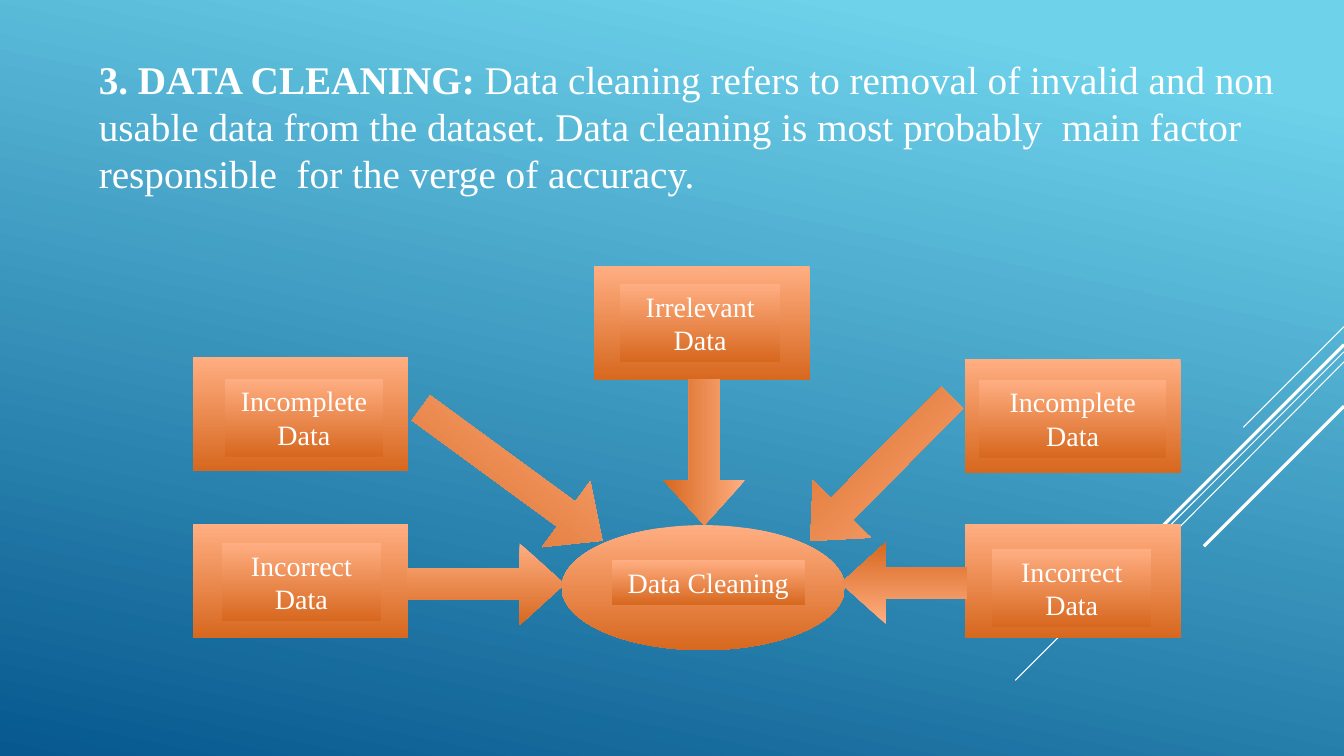
from lxml.etree import SubElement
from pptx import Presentation
from pptx.dml.color import RGBColor
from pptx.enum.shapes import MSO_CONNECTOR, MSO_SHAPE
from pptx.enum.text import MSO_ANCHOR, MSO_AUTO_SIZE, PP_ALIGN
from pptx.oxml.ns import qn
from pptx.util import Inches, Pt


def paint_gradient(fill, stops, angle):
    fill.gradient()
    fill.gradient_angle = 360 - angle
    for stop, (position, color) in zip(fill.gradient_stops, stops):
        stop.position = position
        stop.color.rgb = RGBColor.from_string(color)


def add_orange_shape(kind, left, top, width, height):
    shape = slide.shapes.add_shape(
        kind, Inches(left), Inches(top), Inches(width), Inches(height))
    shape.shadow.inherit = False
    shape.line.fill.background()
    paint_gradient(shape.fill, [(0, "FFAE82"), (1, "D7681F")], 90)
    return shape


FONT = "Times New Roman"
WHITE = RGBColor.from_string("FFFFFF")

presentation = Presentation()
presentation.slide_width = Inches(13.33)
presentation.slide_height = Inches(7.5)
slide = presentation.slides.add_slide(presentation.slide_layouts[5])
paint_gradient(slide.background.fill, [(0.1, "6ED2EB"), (1, "06588E")], 102)

diagonals = [
    (3.24, 12.33, 4.24, 0.75),
    (3.49, 10.07, 6.75, 0.75),
    (3.59, 11.26, 5.67, 0.75),
    (3.42, 11.42, 5.33, 2.25),
    (4.03, 11.94, 5.42, 2.25),
]
for start_y, end_x, end_y, weight in diagonals:
    line = slide.shapes.add_connector(
        MSO_CONNECTOR.STRAIGHT,
        Inches(13.33), Inches(start_y), Inches(end_x), Inches(end_y))
    line.line.color.rgb = WHITE
    line.line.width = Pt(weight)
    SubElement(line._element.spPr, qn("a:effectLst"))

title = slide.shapes.title
title.left, title.top = Inches(0.88), Inches(0.53)
title.width, title.height = Inches(11.9), Inches(1.9)
title_frame = title.text_frame
title_frame.auto_size = MSO_AUTO_SIZE.NONE
title_frame.word_wrap = True
title_frame.vertical_anchor = MSO_ANCHOR.TOP
title_frame.margin_top = Inches(0.02)
paragraph = title_frame.paragraphs[0]
paragraph.alignment = PP_ALIGN.LEFT
title_runs = [
    ("3. DATA CLEANING: ", True),
    ("Data cleaning refers to removal of invalid and non usable data from the "
     "dataset. Data cleaning is most probably  main factor responsible  for "
     "the verge of accuracy.", False),
]
for text, bold in title_runs:
    run = paragraph.add_run()
    run.text = text
    run.font.name = FONT
    run.font.size = Pt(28)
    run.font.bold = bold
    run.font.color.rgb = WHITE

add_orange_shape(MSO_SHAPE.OVAL, 5.57, 5.21, 2.81, 1.24)
for left, top in [(5.89, 2.64), (1.91, 3.54), (1.91, 5.2), (9.57, 5.2), (9.57, 3.56)]:
    add_orange_shape(MSO_SHAPE.RECTANGLE, left, top, 2.14, 1.13)

labels = [
    ("Data Cleaning", 6.07, 5.56, 1.91, 0.44),
    ("Irrelevant Data", 6.15, 2.82, 1.59, 0.77),
    ("Incomplete Data", 2.23, 3.76, 1.57, 0.77),
    ("Incorrect Data", 2.2, 5.39, 1.58, 0.77),
    ("Incomplete Data", 9.71, 3.77, 1.86, 0.77),
    ("Incorrect Data", 9.84, 5.45, 1.58, 0.77),
]
for text, left, top, width, height in labels:
    label = add_orange_shape(MSO_SHAPE.RECTANGLE, left, top, width, height)
    label.text_frame.text = text
    label.text_frame.word_wrap = True
    label.text_frame.auto_size = MSO_AUTO_SIZE.SHAPE_TO_FIT_TEXT
    label.text_frame.vertical_anchor = MSO_ANCHOR.TOP
    paragraph = label.text_frame.paragraphs[0]
    paragraph.alignment = PP_ALIGN.CENTER
    font = paragraph.runs[0].font
    font.name = FONT
    font.size = Pt(20)
    font.color.rgb = WHITE

arrows = [
    (6.26, 4.08, 1.45, 90),
    (3.96, 4.3, 2.23, 36.2),
    (4.04, 5.39, 1.56, 0),
    (7.74, 4.25, 2, 134.7),
    (8.34, 5.38, 1.25, 180),
]
for left, top, length, rotation in arrows:
    arrow = add_orange_shape(MSO_SHAPE.RIGHT_ARROW, left, top, length, 0.81)
    arrow.rotation = rotation
    arrow.adjustments[0] = 0.38
    arrow.adjustments[1] = 0.55

presentation.save("out.pptx")
